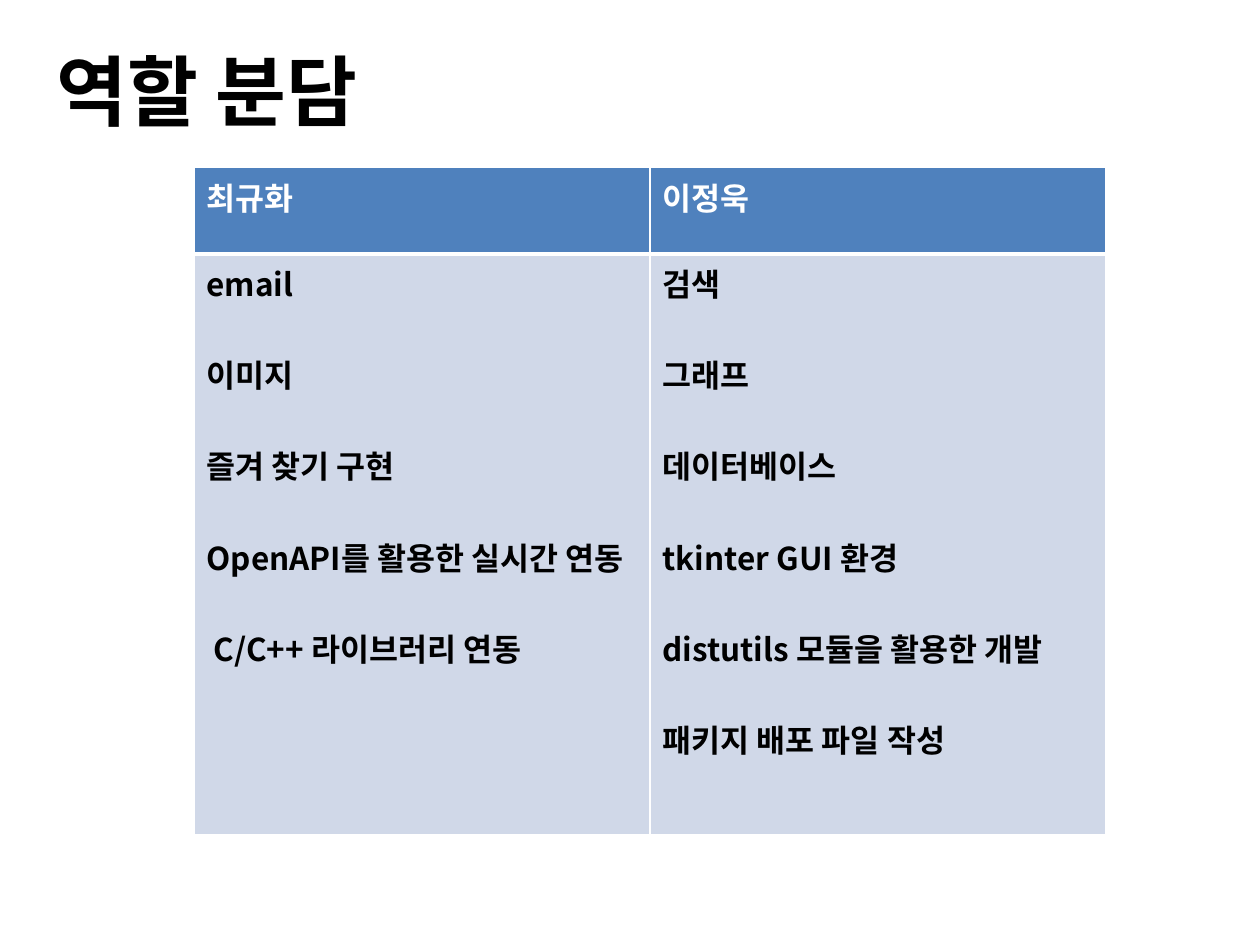
from pptx import Presentation
from pptx.dml.color import RGBColor
from pptx.enum.text import MSO_ANCHOR as Anchor, PP_ALIGN as Align
from pptx.oxml import parse_xml
from pptx.oxml.ns import nsdecls
from pptx.util import Inches, Pt

WIDE, HIGH = 10, 7.5
FONT = "Noto Sans CJK KR"
BLACK, WHITE, BLUE, PALE = "000000", "FFFFFF", "4F81BD", "D0D8E8"
GAP = 26
ROLES = {
    "최규화": ["email", "이미지", "즐겨 찾기 구현",
            "OpenAPI를 활용한 실시간 연동", " C/C++ 라이브러리 연동"],
    "이정욱": ["검색", "그래프", "데이터베이스", "tkinter GUI 환경",
            "distutils 모듈을 활용한 개발", "패키지 배포 파일 작성"],
}


def tint(code):
    """Turn a hex string into a colour."""
    return RGBColor.from_string(code)


def share(box):
    """Turn shares of the slide's size into lengths."""
    return [Inches(part * side) for part, side in zip(box, (WIDE, HIGH) * 2)]


def write(para, text, size, color):
    """Add one bold run to a paragraph."""
    run = para.add_run()
    run.text = text
    font = run.font
    font.name, font.size, font.bold = FONT, Pt(size), True
    font.color.rgb = tint(color)
    run._r.get_or_add_rPr().append(
        parse_xml(f'<a:ea {nsdecls("a")} typeface="{FONT}"/>'))


def edge(cell, base):
    """Draw white borders, the bottom one with its own width."""
    props = cell._tc.get_or_add_tcPr()
    for spot, (side, width) in enumerate(zip("LRTB", (1, 1, 1, base))):
        props.insert(spot, parse_xml(
            f'<a:ln{side} {nsdecls("a")} w="{Pt(width)}"><a:solidFill>'
            f'<a:srgbClr val="{WHITE}"/></a:solidFill></a:ln{side}>'))


def fill(cell, lines, back, color, base):
    """Fill a cell with spaced lines of text."""
    cell.fill.solid()
    cell.fill.fore_color.rgb = tint(back)
    edge(cell, base)
    frame = cell.text_frame
    for spot, line in enumerate(lines):
        para = frame.add_paragraph() if spot else frame.paragraphs[0]
        para.space_before = Pt(GAP if spot else 0)
        write(para, line, 18, color)


def head(slide, text, box):
    """Place and format the title."""
    title = slide.shapes.title
    title.left, title.top, title.width, title.height = share(box)
    frame = title.text_frame
    frame.word_wrap = True
    frame.vertical_anchor = Anchor.MIDDLE
    frame.margin_top = frame.margin_bottom = 0
    para = frame.paragraphs[0]
    para.alignment = Align.LEFT
    write(para, text, 44, BLACK)


def grid(slide, roles, box, top):
    """Build the table of roles; top is the header's share of its height."""
    left, up, width, height = share(box)
    table = slide.shapes.add_table(2, len(roles), left, up, width, height).table
    table.rows[0].height = int(height * top)
    table.rows[1].height = int(height * (1 - top))
    for col, (name, tasks) in enumerate(roles.items()):
        fill(table.cell(0, col), [name], BLUE, WHITE, 3)
        fill(table.cell(1, col), tasks, PALE, BLACK, 1)


def main():
    """Build and save the slide."""
    deck = Presentation()
    deck.slide_width, deck.slide_height = Inches(WIDE), Inches(HIGH)
    slide = deck.slides.add_slide(deck.slide_layouts[5])
    head(slide, "역할 분담", (0.035, 0.04, 0.83, 0.11))
    grid(slide, ROLES, (0.154, 0.177, 0.724, 0.706), 0.13)
    deck.save("out.pptx")


main()
